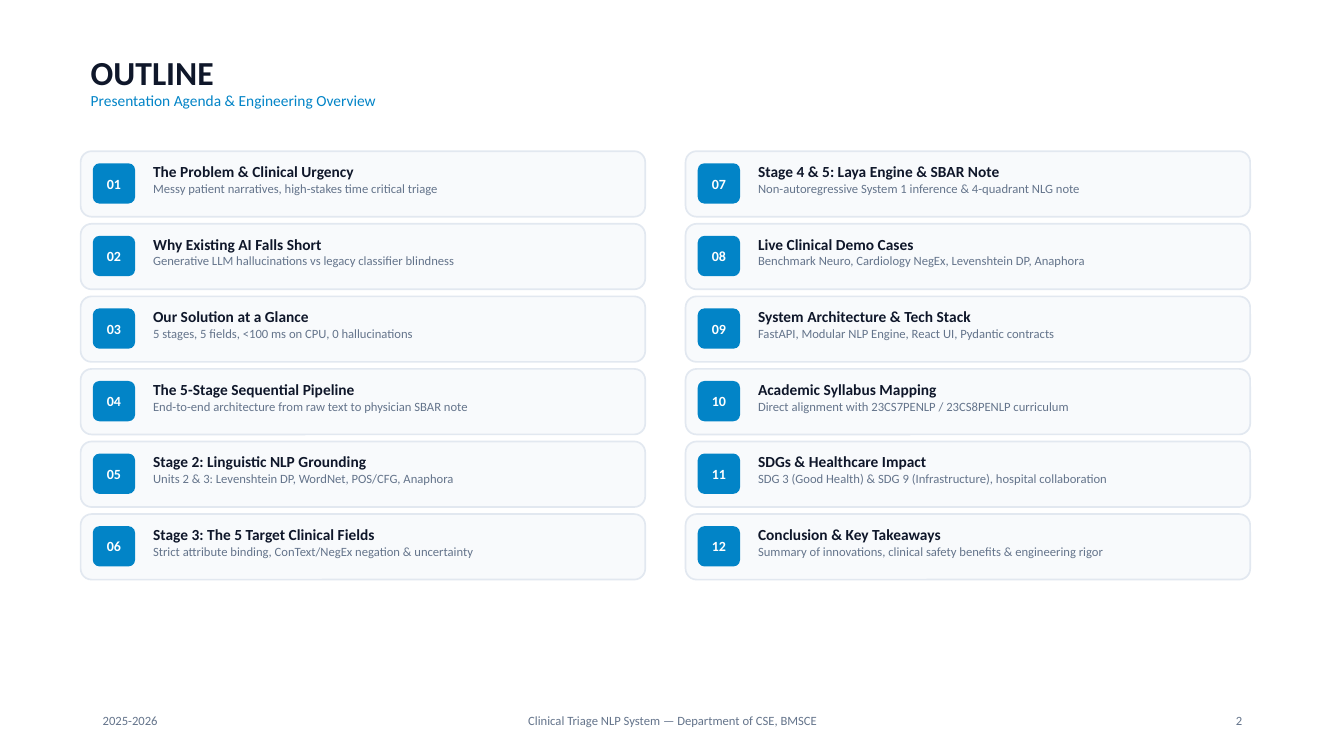
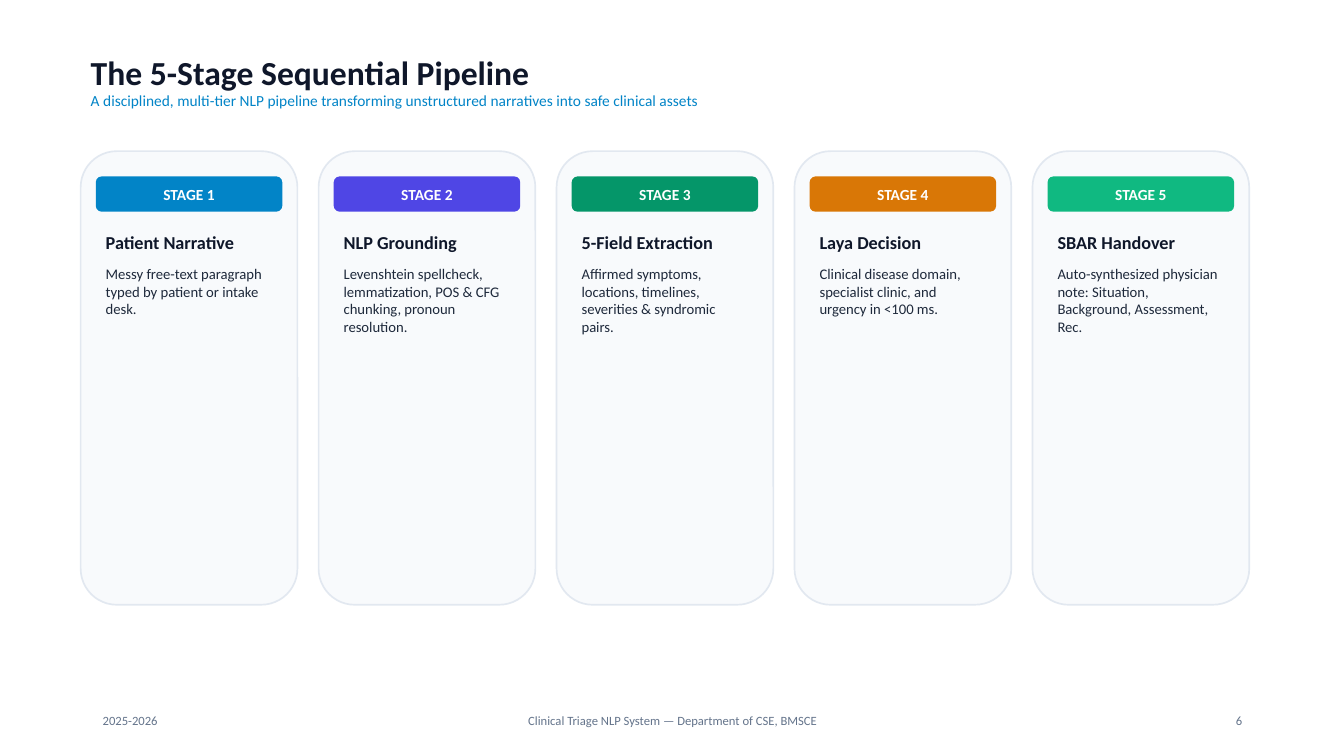
from pptx import Presentation
from pptx import util as u
from pptx.dml.color import RGBColor
from pptx.enum import shapes, text

FONT = "Calibri"
WHITE = RGBColor(0xFF, 0xFF, 0xFF)
NAVY = RGBColor(0x0F, 0x17, 0x2A)
INK = RGBColor(0x1E, 0x29, 0x3B)
SLATE = RGBColor(0x64, 0x74, 0x8B)
PANEL = RGBColor(0xF8, 0xFA, 0xFC)
BORDER = RGBColor(0xE2, 0xE8, 0xF0)
BLUE = RGBColor(0x02, 0x84, 0xC7)
INDIGO = RGBColor(0x4F, 0x46, 0xE5)
GREEN = RGBColor(0x05, 0x96, 0x69)
AMBER = RGBColor(0xD9, 0x77, 0x06)
EMERALD = RGBColor(0x10, 0xB9, 0x81)

LEFT, TOP = 0.8, 1.5  # corner of the content grid, in inches
AGENDA_ROWS, AGENDA_COLUMN_PITCH, AGENDA_ROW_PITCH = 6, 6, 0.72
STAGE_PITCH = 2.36

HEADINGS = [
    (2, "OUTLINE", "Presentation Agenda & Engineering Overview"),
    (6, "The 5-Stage Sequential Pipeline",
     "A disciplined, multi-tier NLP pipeline transforming unstructured narratives into safe clinical assets"),
]
AGENDA = [
    ("The Problem & Clinical Urgency", "Messy patient narratives, high-stakes time critical triage"),
    ("Why Existing AI Falls Short", "Generative LLM hallucinations vs legacy classifier blindness"),
    ("Our Solution at a Glance", "5 stages, 5 fields, <100 ms on CPU, 0 hallucinations"),
    ("The 5-Stage Sequential Pipeline", "End-to-end architecture from raw text to physician SBAR note"),
    ("Stage 2: Linguistic NLP Grounding", "Units 2 & 3: Levenshtein DP, WordNet, POS/CFG, Anaphora"),
    ("Stage 3: The 5 Target Clinical Fields", "Strict attribute binding, ConText/NegEx negation & uncertainty"),
    ("Stage 4 & 5: Laya Engine & SBAR Note", "Non-autoregressive System 1 inference & 4-quadrant NLG note"),
    ("Live Clinical Demo Cases", "Benchmark Neuro, Cardiology NegEx, Levenshtein DP, Anaphora"),
    ("System Architecture & Tech Stack", "FastAPI, Modular NLP Engine, React UI, Pydantic contracts"),
    ("Academic Syllabus Mapping", "Direct alignment with 23CS7PENLP / 23CS8PENLP curriculum"),
    ("SDGs & Healthcare Impact", "SDG 3 (Good Health) & SDG 9 (Infrastructure), hospital collaboration"),
    ("Conclusion & Key Takeaways", "Summary of innovations, clinical safety benefits & engineering rigor"),
]
STAGES = [
    (BLUE, "Patient Narrative", "Messy free-text paragraph typed by patient or intake desk."),
    (INDIGO, "NLP Grounding", "Levenshtein spellcheck, lemmatization, POS & CFG chunking, pronoun resolution."),
    (GREEN, "5-Field Extraction", "Affirmed symptoms, locations, timelines, severities & syndromic pairs."),
    (AMBER, "Laya Decision", "Clinical disease domain, specialist clinic, and urgency in <100 ms."),
    (EMERALD, "SBAR Handover", "Auto-synthesized physician note: Situation, Background, Assessment, Rec."),
]


def write(shape, content, size, color, bold=False, align=text.PP_ALIGN.LEFT,
          space_before=None, line_spacing=None):
    """Fill the first paragraph of the shape, or add one after its text."""
    frame = shape.text_frame
    paragraph = frame.add_paragraph() if frame.text else frame.paragraphs[0]
    paragraph.alignment = align
    if space_before is not None:
        paragraph.space_before = u.Pt(space_before)
    if line_spacing is not None:
        paragraph.line_spacing = line_spacing
    run = paragraph.add_run()
    run.text = content
    run.font.name, run.font.size, run.font.bold = FONT, u.Pt(size), bold
    run.font.color.rgb = color


def add_box(slide, left, top, width, height, fill=None, border=None):
    """Add a rounded box when a fill is given, otherwise a wrapping text box."""
    bounds = [u.Inches(length) for length in (left, top, width, height)]
    if fill is None:
        box = slide.shapes.add_textbox(*bounds)
        box.text_frame.word_wrap = True
        return box
    box = slide.shapes.add_shape(shapes.MSO_SHAPE.ROUNDED_RECTANGLE, *bounds)
    box.shadow.inherit = False
    box.fill.solid()
    box.fill.fore_color.rgb = fill
    if border is None:
        box.line.fill.background()
    else:
        box.line.color.rgb = border
        box.line.width = u.Pt(1.2)
    box.text_frame.word_wrap = False
    box.text_frame.vertical_anchor = text.MSO_ANCHOR.MIDDLE
    return box


presentation = Presentation()
presentation.slide_width, presentation.slide_height = u.Inches(13.33), u.Inches(7.5)
layout = presentation.slide_layouts.get_by_name("Title Only")
layout_title = layout.placeholders[0]
layout_title.left, layout_title.top = u.Inches(LEFT), u.Inches(0.35)
layout_title.width, layout_title.height = u.Inches(10.2), u.Inches(0.95)

# Title and footer of every slide
for number, heading, subtitle in HEADINGS:
    slide = presentation.slides.add_slide(layout)
    title = slide.shapes.title
    title.text_frame.auto_size = text.MSO_AUTO_SIZE.NONE
    title.text_frame.vertical_anchor = text.MSO_ANCHOR.MIDDLE
    write(title, heading, 24, NAVY, bold=True, line_spacing=0.9)
    write(title, subtitle, 11, BLUE, space_before=0, line_spacing=0.9)
    for left, width, content, align in [
        (0.92, 3, "2025-2026", text.PP_ALIGN.LEFT),
        (4.42, 4.5, "Clinical Triage NLP System — Department of CSE, BMSCE", text.PP_ALIGN.CENTER),
        (9.42, 3, str(number), text.PP_ALIGN.RIGHT),
    ]:
        footer = add_box(slide, left, 6.95, width, 0.4)
        footer.text_frame.vertical_anchor = text.MSO_ANCHOR.MIDDLE
        write(footer, content, 9, SLATE, align=align)

outline_slide, pipeline_slide = presentation.slides

# Agenda: two columns of numbered cards, filled downwards
for index, (topic, detail) in enumerate(AGENDA):
    column, row = divmod(index, AGENDA_ROWS)
    left = LEFT + column * AGENDA_COLUMN_PITCH
    top = TOP + row * AGENDA_ROW_PITCH
    add_box(outline_slide, left, top, 5.6, 0.65, PANEL, BORDER)
    badge = add_box(outline_slide, left + 0.12, top + 0.12, 0.42, 0.4, BLUE)
    write(badge, f"{index + 1:02}", 10, WHITE, bold=True, align=text.PP_ALIGN.CENTER)
    entry = add_box(outline_slide, left + 0.62, top + 0.06, 4.9, 0.52)
    write(entry, topic, 11, NAVY, bold=True)
    write(entry, detail, 9, SLATE)

# Pipeline: one column per stage
for index, (color, name, description) in enumerate(STAGES):
    left = LEFT + index * STAGE_PITCH
    add_box(pipeline_slide, left, TOP, 2.15, 4.5, PANEL, BORDER)
    tag = add_box(pipeline_slide, left + 0.15, TOP + 0.25, 1.85, 0.35, color)
    write(tag, f"STAGE {index + 1}", 11, WHITE, bold=True, align=text.PP_ALIGN.CENTER)
    summary = add_box(pipeline_slide, left + 0.15, TOP + 0.75, 1.85, 3.5)
    write(summary, name, 13, NAVY, bold=True)
    write(summary, description, 10.5, INK, space_before=8)

presentation.save("out.pptx")
